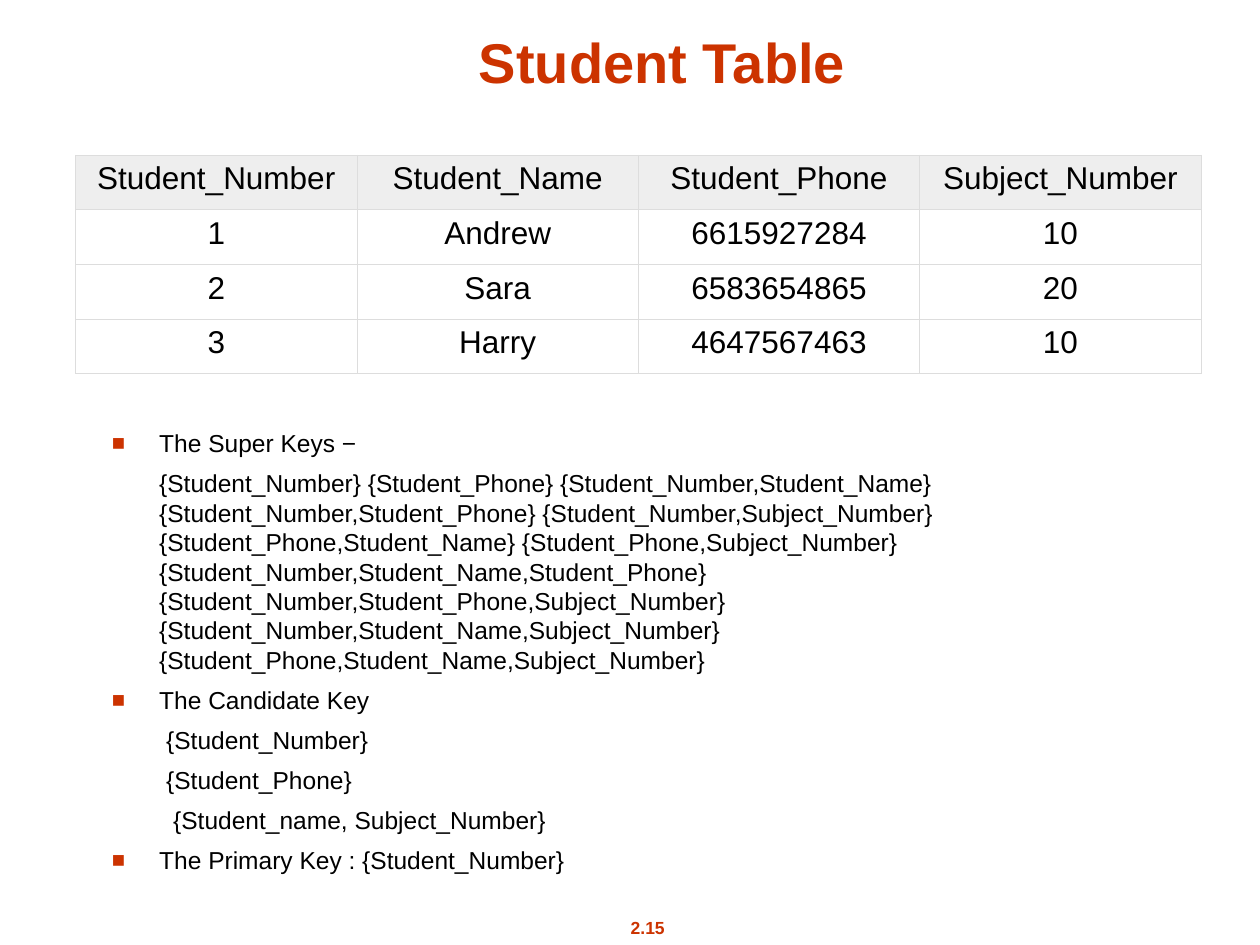
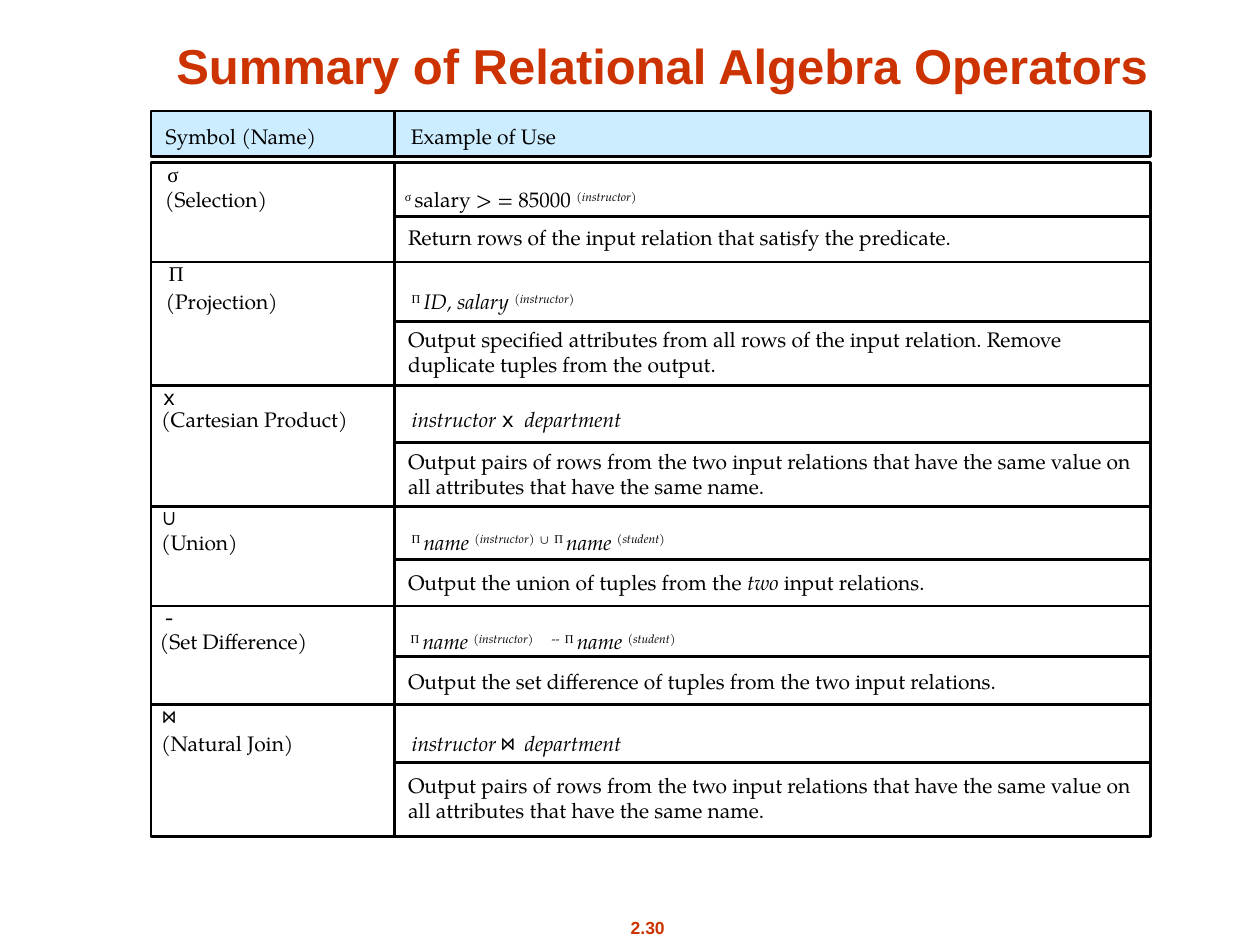
"""Build two database slides: keys of a student table and a summary of relational algebra."""
from typing import NamedTuple

from lxml.etree import SubElement
from pptx import Presentation
from pptx.dml.color import RGBColor
from pptx.enum.shapes import MSO_CONNECTOR as Connector, MSO_SHAPE as Preset
from pptx.enum.text import MSO_ANCHOR as Anchor, PP_ALIGN as Align
from pptx.oxml.ns import qn
from pptx.util import Pt

COLORS = {
    "accent": "CC3300",
    "ink": "000000",
    "paper": "FFFFFF",
    "table_head": "EEEEEE",
    "table_line": "DDDDDD",
    "summary_head": "CCECFF",
}
SANS, SERIF, GREEK, MONO = "Arial", "TeX Gyre Pagella", "Times New Roman", "Noto Sans Mono"


class Span(NamedTuple):
    """A run of text with its own look."""
    text: str
    font: str = SERIF
    italic: bool = False
    raised: bool = False
    size: float = 12
    color: str = "ink"
    bold: bool = False


class KeyLine(NamedTuple):
    """A line of the key list."""
    text: str
    bullet: bool = False
    extra_indent: float = 0


class Operator(NamedTuple):
    """A row of the operator summary, with its vertical positions."""
    symbol: Span
    name: str
    example: list[Span]
    note: list[Span]
    name_top: float
    middle: float
    note_top: float
    bottom: float
    text_left: float = 85
    symbol_left: float = 86
    example_left: float = 228.2
    example_tab: float = 0


def rgb(name: str) -> RGBColor:
    """Return a named colour."""
    return RGBColor.from_string(COLORS[name])


def add_spans(para, spans: list[Span]) -> None:
    """Add the spans to a paragraph as runs."""
    for span in spans:
        run = para.add_run()
        run.text = span.text
        font = run.font
        font.name, font.size = span.font, Pt(span.size)
        font.bold, font.italic = span.bold, span.italic
        font.color.rgb = rgb(span.color)
        properties = run._r.get_or_add_rPr()
        for script in ("a:ea", "a:cs"):
            SubElement(properties, qn(script), typeface=span.font)
        if span.raised:
            properties.set("baseline", "30000")


def add_text(page, left: float, top: float, width: float, height: float,
             spans: list[Span], align=Align.LEFT, anchor=Anchor.TOP, tab: float = 0):
    """Add a wrapping text box with one paragraph."""
    frame = page.shapes.add_textbox(Pt(left), Pt(top), Pt(width), Pt(height)).text_frame
    frame.word_wrap = True
    frame.vertical_anchor = anchor
    para = frame.paragraphs[0]
    para.alignment = align
    if tab:
        stops = SubElement(para._p.get_or_add_pPr(), qn("a:tabLst"))
        SubElement(stops, qn("a:tab"), pos=str(Pt(tab)), algn="l")
    add_spans(para, spans)


def add_page(deck, title: str, title_size: float, number: str):
    """Add a blank page with the shared title and page number."""
    page = deck.slides.add_slide(deck.slide_layouts[6])
    add_text(page, 334.8, 520.6, 70.6, 19.4,
             [Span(number, SANS, size=10, color="accent", bold=True)], Align.CENTER)
    add_text(page, 60.5, 9.4, 635.8, 48.2,
             [Span(title, SANS, size=title_size, color="accent", bold=True)],
             Align.CENTER, Anchor.BOTTOM)
    return page


def add_rectangle(page, top: float, height: float, fill: str) -> None:
    """Add an outlined box across the summary."""
    box = page.shapes.add_shape(Preset.RECTANGLE, Pt(SUMMARY_LEFT), Pt(top),
                                Pt(SUMMARY_RIGHT - SUMMARY_LEFT), Pt(height))
    box.shadow.inherit = False
    box.fill.solid()
    box.fill.fore_color.rgb = rgb(fill)
    box.line.color.rgb = rgb("ink")
    box.line.width = Pt(1.5)


def add_line(page, x1: float, y1: float, x2: float, y2: float) -> None:
    """Add a straight black line."""
    line = page.shapes.add_connector(Connector.STRAIGHT, Pt(x1), Pt(y1), Pt(x2), Pt(y2))
    line.line.color.rgb = rgb("ink")
    line.line.width = Pt(1.5)
    SubElement(line._element.spPr, qn("a:effectLst"))


STUDENTS = [
    ("Student_Number", "Student_Name", "Student_Phone", "Subject_Number"),
    ("1", "Andrew", "6615927284", "10"),
    ("2", "Sara", "6583654865", "20"),
    ("3", "Harry", "4647567463", "10"),
]
SUPER_KEYS = (
    "{Student_Number} {Student_Phone} {Student_Number,Student_Name} "
    "{Student_Number,Student_Phone} {Student_Number,Subject_Number} "
    "{Student_Phone,Student_Name} {Student_Phone,Subject_Number} "
    "{Student_Number,Student_Name,Student_Phone} "
    "{Student_Number,Student_Phone,Subject_Number} "
    "{Student_Number,Student_Name,Subject_Number} "
    "{Student_Phone,Student_Name,Subject_Number}"
)
KEY_LINES = [
    KeyLine("The Super Keys −", bullet=True),
    KeyLine(SUPER_KEYS),
    KeyLine("The Candidate Key", bullet=True),
    KeyLine("{Student_Number}", extra_indent=4),
    KeyLine("{Student_Phone}", extra_indent=4),
    KeyLine("{Student_name, Subject_Number}", extra_indent=8),
    KeyLine("The Primary Key : {Student_Number}", bullet=True),
]


def style_cell(cell, text: str, is_head: bool) -> None:
    """Write one table cell with thin borders."""
    cell.margin_left = cell.margin_right = Pt(5)
    cell.margin_top = cell.margin_bottom = Pt(3.6)
    properties = cell._tc.get_or_add_tcPr()
    for side in ("a:lnL", "a:lnR", "a:lnT", "a:lnB"):
        border = SubElement(properties, qn(side), w=str(Pt(0.28)))
        fill = SubElement(border, qn("a:solidFill"))
        SubElement(fill, qn("a:srgbClr"), val=COLORS["table_line"])
    if is_head:
        cell.fill.solid()
        cell.fill.fore_color.rgb = rgb("table_head")
    else:
        cell.fill.background()
    para = cell.text_frame.paragraphs[0]
    para.alignment = Align.CENTER
    add_spans(para, [Span(text, SANS, size=18)])


def add_student_table(page) -> None:
    """Add the table of students."""
    rows, columns = len(STUDENTS), len(STUDENTS[0])
    table = page.shapes.add_table(rows, columns, Pt(43.2), Pt(88.6), Pt(643.2), Pt(124.8)).table
    table.first_row = table.horz_banding = False
    for row, record in enumerate(STUDENTS):
        for column, text in enumerate(record):
            style_cell(table.cell(row, column), text, row == 0)


def add_key_list(page) -> None:
    """Add the list of super, candidate and primary keys."""
    frame = page.shapes.add_textbox(Pt(56.9), Pt(241.2), Pt(603.4), Pt(272.9)).text_frame
    frame.word_wrap = True
    indent = 27
    for index, line in enumerate(KEY_LINES):
        para = frame.add_paragraph() if index else frame.paragraphs[0]
        if index:
            para.space_before = Pt(6.1)
        properties = para._p.get_or_add_pPr()
        properties.set("marL", str(Pt(indent + line.extra_indent)))
        properties.set("indent", str(Pt(-indent if line.bullet else 0)))
        if line.bullet:
            color = SubElement(properties, qn("a:buClr"))
            SubElement(color, qn("a:srgbClr"), val=COLORS["accent"])
            SubElement(properties, qn("a:buSzPct"), val="90000")
            SubElement(properties, qn("a:buFont"), typeface=SANS)
            SubElement(properties, qn("a:buChar"), char="■")
        add_spans(para, [Span(line.text, SANS, size=14)])


def relation(name: str) -> list[Span]:
    """Return a raised relation name in brackets."""
    return [Span("(", raised=True), Span(name, italic=True, raised=True), Span(")", raised=True)]


def projection(attributes: str, source: str) -> list[Span]:
    """Return a projection of a relation."""
    return [Span("Π ", GREEK, raised=True), Span(f"{attributes} ", italic=True), *relation(source)]


def product(symbol: str) -> list[Span]:
    """Return two relations joined by a symbol."""
    return [Span("instructor ", italic=True), Span(symbol, MONO), Span("\tdepartment", italic=True)]


SUMMARY_LEFT, SUMMARY_RIGHT, DIVIDER = 86.4, 657.4, 225.4
HEAD_TOP, HEAD_HEIGHT = 63.4, 25.9
GRID_TOP, GRID_BOTTOM = 92.9, 478.1
PAIRS_NOTE = [Span("Output pairs of rows from the two input relations that have the same value "
                   "on all attributes that have the same name.")]
OPERATORS = [
    Operator(Span("σ", GREEK), "(Selection)",
             [Span("σ ", GREEK, raised=True), Span("salary > = 85000 "), *relation("instructor")],
             [Span("Return rows of the input relation that satisfy the predicate.")],
             103, 123.8, 124.6, 149.8, 87.2, 88.6, 224.3),
    Operator(Span("Π", GREEK), "(Projection)", projection("ID, salary", "instructor"),
             [Span("Output specified attributes from all rows of the input relation. "
                   "Remove duplicate tuples from the output.")],
             161.3, 183.6, 182.9, 220.3, 87.5, 89.2),
    Operator(Span("x", MONO), "(Cartesian Product)", product("x"), PAIRS_NOTE,
             229, 252.7, 252.7, 289.4, example_tab=64.5),
    Operator(Span("∪", MONO), "(Union)",
             [*projection("name", "instructor"), Span(" "), Span("∪", raised=True), Span(" "),
              *projection("name", "student")],
             [Span("Output the union of tuples from the "), Span("two ", italic=True),
              Span("input relations.")],
             298.8, 319.7, 321.8, 346.3),
    Operator(Span("-", MONO), "(Set Difference)",
             [*projection("name", "instructor"), Span("\t--", raised=True), Span(" "),
              *projection("name", "student")],
             [Span("Output the set difference of tuples from the two input relations.")],
             355.7, 375.1, 378.7, 402.5, 84.2, example_left=227.6, example_tab=80.5),
    Operator(Span("⋈", MONO), "(Natural Join)", product("⋈"), PAIRS_NOTE,
             414, 435.6, 437.8, GRID_BOTTOM, example_tab=64.5),
]


def add_summary(page) -> None:
    """Add the ruled summary of operators."""
    add_rectangle(page, HEAD_TOP, HEAD_HEIGHT, "summary_head")
    add_rectangle(page, GRID_TOP, GRID_BOTTOM - GRID_TOP, "paper")
    add_line(page, DIVIDER, GRID_TOP, DIVIDER, GRID_BOTTOM)
    add_line(page, DIVIDER, HEAD_TOP, DIVIDER, HEAD_TOP + HEAD_HEIGHT)
    for left, heading in ((87.6, "Symbol (Name)"), (227.7, "Example of Use")):
        add_text(page, left, 67, 135, 21.6, [Span(heading)])
    top = GRID_TOP
    for row in OPERATORS:
        add_text(page, row.symbol_left, top - 4.3, 70, 21.6, [row.symbol])
        add_text(page, row.text_left, row.name_top, 135, 21.6, [Span(row.name)])
        add_text(page, row.example_left, row.name_top, 400, 21.6, row.example,
                 tab=row.example_tab)
        add_text(page, 226.1, row.note_top, 435, 36, row.note)
        add_line(page, DIVIDER, row.middle, SUMMARY_RIGHT, row.middle)
        if row.bottom < GRID_BOTTOM:
            add_line(page, SUMMARY_LEFT, row.bottom, SUMMARY_RIGHT, row.bottom)
        top = row.bottom


def main() -> None:
    """Build and save the deck."""
    deck = Presentation()
    deck.slide_width, deck.slide_height = Pt(720), Pt(540)
    page = add_page(deck, "Student Table", 32, "2.15")
    add_student_table(page)
    add_key_list(page)
    add_summary(add_page(deck, "Summary of Relational Algebra Operators", 28, "2.30"))
    deck.save("out.pptx")


if __name__ == "__main__":
    main()
